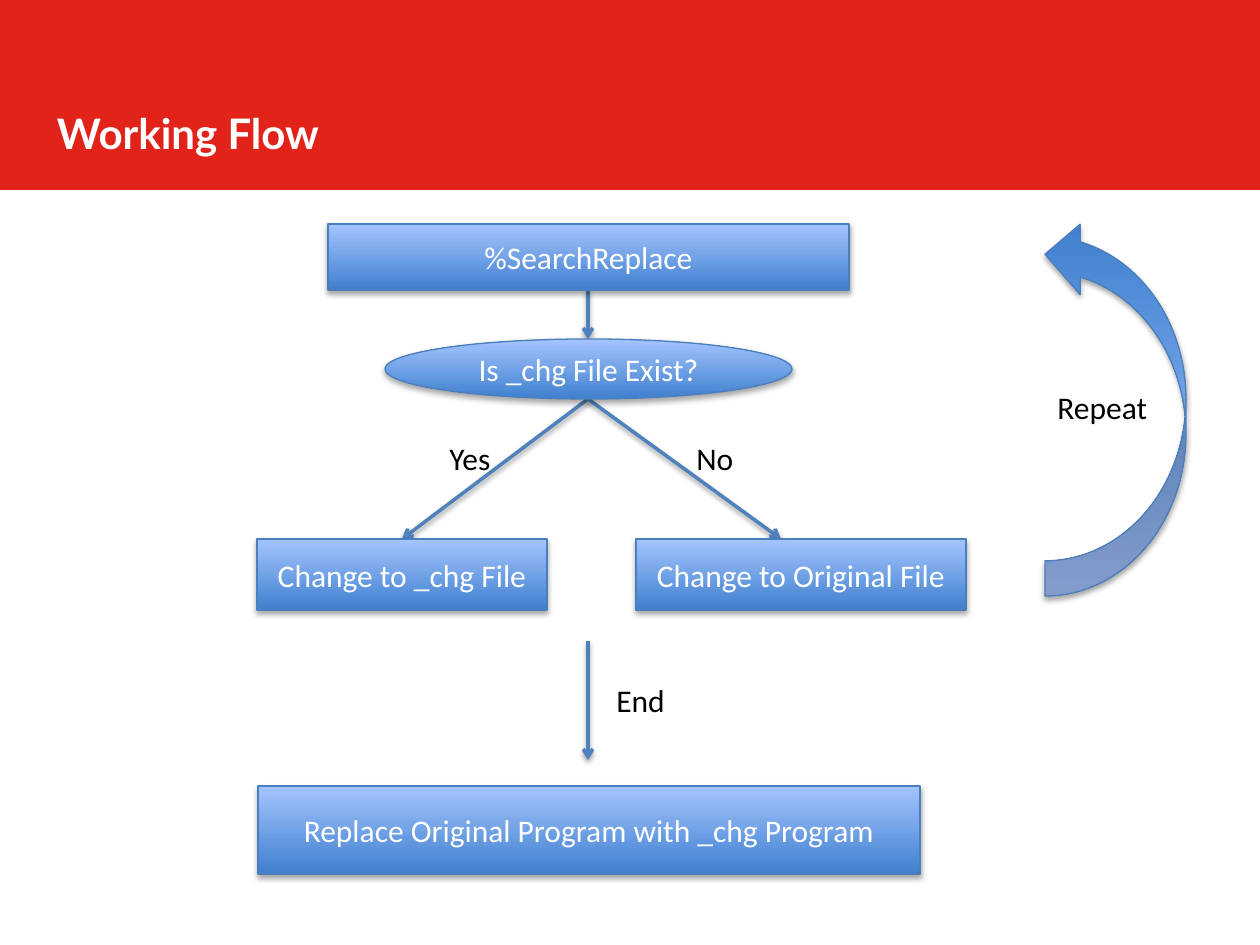
import pptx
import pptx.util
import pptx.dml.color
import pptx.enum.shapes
import pptx.enum.text
import pptx.oxml
import pptx.oxml.ns

PX = 914400 / 126
SHAPE = pptx.enum.shapes.MSO_SHAPE
ALIGN = pptx.enum.text.PP_ALIGN
ANCHOR = pptx.enum.text.MSO_ANCHOR

TITLE = "Working Flow"
BANNER = (0, 0, 1260, 190)
TITLE_BOX = (34, 40, 1189, 136)
MID = 588
STEPS = [
    ("%SearchReplace", SHAPE.RECTANGLE, (328, 224, 521, 66)),
    ("Is _chg File Exist?", SHAPE.OVAL, (385, 339, 407, 60)),
    ("Change to _chg File", SHAPE.RECTANGLE, (257, 539, 290, 71)),
    ("Change to Original File", SHAPE.RECTANGLE, (636, 539, 330, 71)),
    ("Replace Original Program with _chg Program", SHAPE.RECTANGLE, (258, 786, 662, 88)),
]
REPEAT_ARROW = (1045, 219, 141, 377)
ARROWS = [
    (MID, 290, MID, 339),
    (MID, 399, 402, 539),
    (MID, 399, 781, 539),
    (MID, 641, MID, 760),
]
LABELS = [
    ("Yes", (437, 433, 71, 50)),
    ("No", (684, 433, 108, 50)),
    ("Repeat", (1045, 382, 134, 50)),
    ("End", (604, 675, 125, 50)),
]


def emu(*lengths):
    return [pptx.util.Emu(round(v * PX)) for v in lengths]


def rgb(value):
    return pptx.dml.color.RGBColor.from_string(value)


def add_xml(parent, body):
    ns = pptx.oxml.ns.nsdecls("a")
    parent.append(pptx.oxml.parse_xml(body.replace(" ", f" {ns} ", 1)))


def add_shadow(s, dist, alpha):
    add_xml(s._element.spPr, (
        '<a:effectLst ><a:outerShdw blurRad="40000" '
        f'dist="{dist}" dir="5400000" rotWithShape="0"><a:srgbClr val="000000">'
        f'<a:alpha val="{alpha}"/></a:srgbClr></a:outerShdw></a:effectLst>'))


def write(s, text, font="Calibri", size=18, color="000000", bold=False,
          align=ALIGN.LEFT, anchor=ANCHOR.TOP):
    tf = s.text_frame
    tf.word_wrap = True
    tf.vertical_anchor = anchor
    p = tf.paragraphs[0]
    p.alignment = align
    r = p.add_run()
    r.text = text
    r.font.name = font
    r.font.size = pptx.util.Pt(size)
    r.font.bold = bold
    r.font.color.rgb = rgb(color)
    return tf


def add_block(shapes, kind, box):
    s = shapes.add_shape(kind, *emu(*box))
    s.fill.gradient()
    s.fill.gradient_angle = 90
    for stop, color in zip(s.fill.gradient_stops, ("3F80CE", "A4C4FF")):
        stop.color.rgb = rgb(color)
    s.line.color.rgb = rgb("4B7EBC")
    s.line.width = pptx.util.Pt(0.75)
    add_shadow(s, 23000, 35000)
    return s


def add_arrow(shapes, ends):
    s = shapes.add_connector(pptx.enum.shapes.MSO_CONNECTOR.STRAIGHT, *emu(*ends))
    s.line.color.rgb = rgb("4F81BD")
    s.line.width = pptx.util.Pt(2)
    add_xml(s.line._get_or_add_ln(), '<a:tailEnd type="arrow"/>')
    add_shadow(s, 20000, 38000)


def main():
    prs = pptx.Presentation()
    prs.slide_width, prs.slide_height = emu(1260, 945)
    shapes = prs.slides.add_slide(prs.slide_layouts[6]).shapes

    banner = shapes.add_shape(SHAPE.RECTANGLE, *emu(*BANNER))
    banner.shadow.inherit = False
    banner.fill.solid()
    banner.fill.fore_color.rgb = rgb("E2231A")
    banner.line.fill.background()

    tf = write(shapes.add_textbox(*emu(*TITLE_BOX)), TITLE, font="Lato", size=24,
               color="FFFFFF", bold=True, anchor=ANCHOR.MIDDLE)
    tf.margin_left, tf.margin_top, tf.margin_bottom = emu(23, 63, 13)

    for ends in ARROWS:
        add_arrow(shapes, ends)
    for text, kind, box in STEPS:
        write(add_block(shapes, kind, box), text, color="FFFFFF",
              align=ALIGN.CENTER, anchor=ANCHOR.MIDDLE)

    loop = add_block(shapes, SHAPE.CURVED_LEFT_ARROW, REPEAT_ARROW)
    loop.rotation = 180
    loop._element.spPr.xfrm.set("flipH", "1")

    for text, box in LABELS:
        write(shapes.add_textbox(*emu(*box)), text)

    prs.save("out.pptx")


if __name__ == "__main__":
    main()
